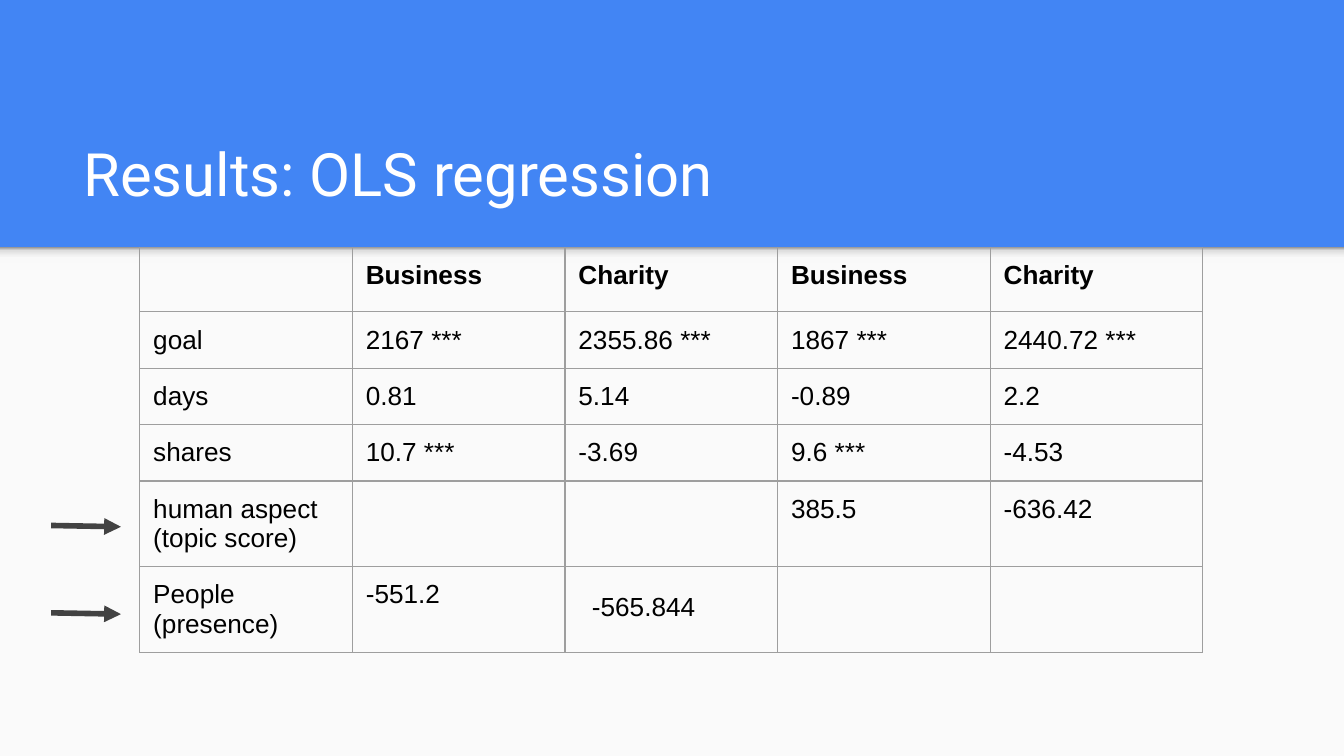
import pptx
import pptx.util
import pptx.dml.color
import pptx.enum.shapes
import pptx.enum.text
import pptx.oxml
import pptx.oxml.ns
from lxml import etree

Inches, Pt = pptx.util.Inches, pptx.util.Pt
qn = pptx.oxml.ns.qn

HEADER_BOTTOM = 1.84
SLIDE_WIDTH = 10
SLIDE_HEIGHT = SLIDE_WIDTH * 9 / 16
ROWS = [
    ["", "Business", "Charity", "Business", "Charity"],
    ["goal", "2167 ***", "2355.86 ***", "1867 ***", "2440.72 ***"],
    ["days", "0.81", "5.14", "-0.89", "2.2"],
    ["shares", "10.7 ***", "-3.69", "9.6 ***", "-4.53"],
    ["human aspect (topic score)", "", "", "385.5", "-636.42"],
    ["People\n(presence)", "-551.2", "-565.844", "", ""],
]
ROW_HEIGHTS = [0.48, 0.42, 0.42, 0.42, 0.63, 0.64]
TABLE_WIDTH = 7.91


def rgb(value):
    return pptx.dml.color.RGBColor.from_string(value)


def add_run(p, text, size, font, color, bold=False):
    r = p.add_run()
    r.text = text
    r.font.size, r.font.name, r.font.bold = Pt(size), font, bold
    r.font.color.rgb = rgb(color)


def set_margins(target, inset=0.1):
    for side in ("left", "top", "right", "bottom"):
        setattr(target, f"margin_{side}", Inches(inset))


def add_band(s, top, height, color):
    sp = s.shapes.add_shape(pptx.enum.shapes.MSO_SHAPE.RECTANGLE,
                            0, Inches(top), Inches(SLIDE_WIDTH), Inches(height))
    sp.shadow.inherit = False
    sp.fill.solid()
    sp.fill.fore_color.rgb = rgb(color)
    sp.line.fill.background()
    return sp


def set_gradient(sp, stops, angle):
    sp.fill.gradient()
    grad = sp._element.spPr.find(qn("a:gradFill"))
    grad.find(qn("a:lin")).set("ang", str(angle * 60000))
    gs_list = grad.find(qn("a:gsLst"))
    for gs in list(gs_list):
        gs_list.remove(gs)
    for position, color in stops:
        gs = etree.SubElement(gs_list, qn("a:gs"), pos=str(position * 1000))
        etree.SubElement(gs, qn("a:srgbClr"), val=color)


def set_title(s, text):
    sp = s.shapes.title
    sp.left, sp.top = Inches(0.52), Inches(0.81)
    sp.width, sp.height = Inches(8.99), Inches(0.84)
    tf = sp.text_frame
    set_margins(tf)
    tf.word_wrap = True
    tf.auto_size = pptx.enum.text.MSO_AUTO_SIZE.NONE
    tf.vertical_anchor = pptx.enum.text.MSO_ANCHOR.BOTTOM
    p = tf.paragraphs[0]
    p.alignment = pptx.enum.text.PP_ALIGN.LEFT
    add_run(p, text, 32, "Roboto", "FFFFFF")


def set_borders(cell, color, width):
    tcPr = cell._tc.get_or_add_tcPr()
    for i, side in enumerate(("lnL", "lnR", "lnT", "lnB")):
        ln = etree.Element(qn(f"a:{side}"), w=str(Pt(width)))
        fill = etree.SubElement(ln, qn("a:solidFill"))
        etree.SubElement(fill, qn("a:srgbClr"), val=color)
        tcPr.insert(i, ln)


def fill_cell(cell, text, bold):
    cell.fill.background()
    set_borders(cell, "9E9E9E", 0.75)
    if not text:
        return
    set_margins(cell)
    tf = cell.text_frame
    for i, line in enumerate(text.split("\n")):
        p = tf.add_paragraph() if i else tf.paragraphs[0]
        add_run(p, line, 14, "Arial", "000000", bold)


def add_results_table(s):
    n_cols = len(ROWS[0])
    frame = s.shapes.add_table(len(ROWS), n_cols, Inches(1.04), Inches(HEADER_BOTTOM),
                               Inches(TABLE_WIDTH), Inches(sum(ROW_HEIGHTS)))
    table = frame.table
    table.first_row = table.horz_banding = False
    for i, (values, height) in enumerate(zip(ROWS, ROW_HEIGHTS)):
        table.rows[i].height = Inches(height)
        for j, value in enumerate(values):
            fill_cell(table.cell(i, j), value, bold=i == 0)
    return table


def indent_paragraph(p):
    p.line_spacing = 1.43
    p.space_after = Pt(8)
    pPr = p._p.get_or_add_pPr()
    pPr.set("marL", str(Inches(0.1)))
    pPr.set("indent", "0")


def add_arrow(s, y):
    line = s.shapes.add_connector(pptx.enum.shapes.MSO_CONNECTOR.STRAIGHT,
                                  Inches(0.38), Inches(y), Inches(0.9), Inches(y + 0.01))
    line.line.color.rgb = rgb("424242")
    line.line.width = Pt(3)
    ln = line._element.spPr.find(qn("a:ln"))
    etree.SubElement(ln, qn("a:tailEnd"), type="triangle")
    etree.SubElement(line._element.spPr, qn("a:effectLst"))


def main():
    prs = pptx.Presentation()
    prs.slide_width, prs.slide_height = Inches(SLIDE_WIDTH), Inches(SLIDE_HEIGHT)
    s = prs.slides.add_slide(prs.slide_layouts[5])

    # Blue header with a light body and a soft shadow below the header
    s.background.fill.solid()
    s.background.fill.fore_color.rgb = rgb("4285F4")
    add_band(s, HEADER_BOTTOM, SLIDE_HEIGHT - HEADER_BOTTOM, "FAFAFA")
    shade = add_band(s, HEADER_BOTTOM, 0.12, "F9F9F9")
    set_gradient(shade, [(0, "F9F9F9"), (36, "F9F9F9"), (80, "DEDEDE"), (100, "999999")], 270)
    set_title(s, "Results: OLS regression")

    # Regression table
    table = add_results_table(s)
    indent_paragraph(table.cell(5, 2).text_frame.paragraphs[0])

    # Arrows to the last two rows
    for y in (3.91, 4.56):
        add_arrow(s, y)

    prs.save("out.pptx")


if __name__ == "__main__":
    main()
